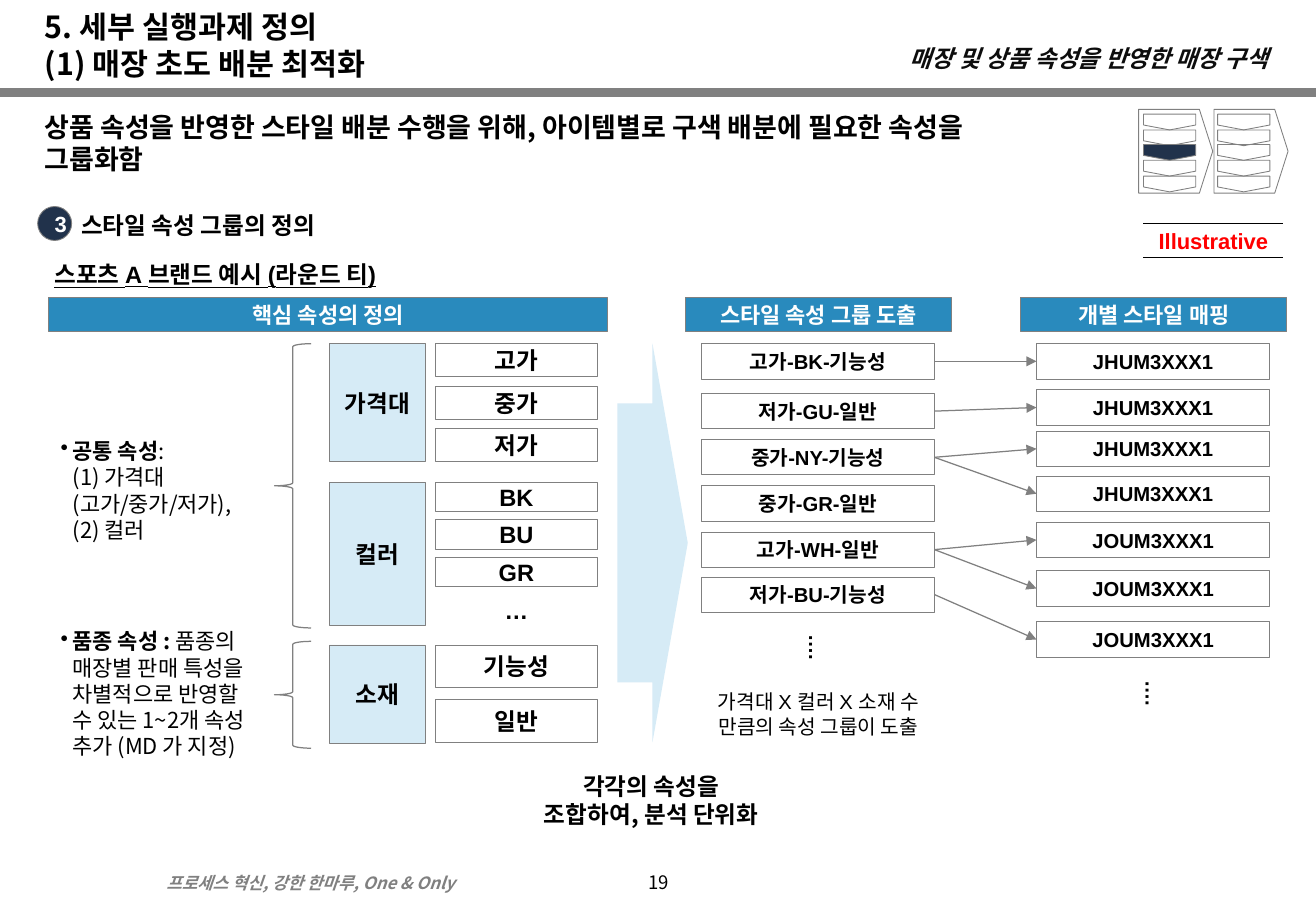
from lxml import etree
from pptx import Presentation
from pptx.dml.color import RGBColor
from pptx.enum.shapes import MSO_CONNECTOR as Connector, MSO_SHAPE as Shape
from pptx.enum.text import MSO_ANCHOR as Anchor, PP_ALIGN as Align
from pptx.oxml.ns import qn
from pptx.util import Emu, Pt

PX = 9144  # 100 px to the inch
HANGUL = "Noto Sans CJK KR"
GREY, NAVY, PALE, BLUE = "808080", "21324B", "D6EBF6", "298ABD"
BLACK, WHITE, RED = "000000", "FFFFFF", "FF0000"


def px(*lengths):
    return [Emu(length * PX) for length in lengths]


def color(value):
    return RGBColor.from_string(value)


class Board:
    """Holds the shared style and the slide being drawn."""

    def __init__(self, slide):
        self.slide = slide
        self.shapes = slide.shapes

    def style_run(self, run, size, ink=BLACK, bold=True, italic=False,
                  underline=False, font="Arial"):
        run.font.size = Pt(size)
        run.font.bold = bold
        run.font.italic = italic
        run.font.underline = underline
        run.font.color.rgb = color(ink)
        run.font.name = font
        etree.SubElement(run.font._element, qn("a:ea")).set("typeface", HANGUL)

    def frame(self, shape, anchor=Anchor.MIDDLE, margin=10):
        frame = shape.text_frame
        frame.word_wrap = True
        frame.vertical_anchor = anchor
        frame.margin_left = frame.margin_right = px(margin)[0]
        frame.margin_top = frame.margin_bottom = 0
        return frame

    def fill_text(self, shape, text, size, align=Align.CENTER, anchor=Anchor.MIDDLE,
                  margin=10, spacing=None, **style):
        frame = self.frame(shape, anchor, margin)
        frame.text = text
        paragraph = frame.paragraphs[0]
        paragraph.alignment = align
        if spacing:
            paragraph.line_spacing = spacing
        for run in paragraph.runs:
            self.style_run(run, size, **style)

    def title(self, box, text, size, **style):
        title = self.shapes.title
        title.left, title.top, title.width, title.height = px(*box)
        self.fill_text(title, text, size, Align.LEFT, Anchor.BOTTOM, **style)

    def text(self, box, text, size, align=Align.LEFT, **style):
        shape = self.shapes.add_textbox(*px(*box))
        self.fill_text(shape, text, size, align, **style)
        return shape

    def bullet(self, box, label, lines, size=13):
        """Add one bulleted paragraph: a bold label, then plain lines."""
        frame = self.frame(self.shapes.add_textbox(*px(*box)))
        paragraph = frame.paragraphs[0]
        properties = paragraph._p.get_or_add_pPr()
        properties.set("marL", str(10 * PX))
        properties.set("indent", str(-10 * PX))
        etree.SubElement(properties, qn("a:buChar")).set("char", "•")
        paragraph.line_spacing = Pt(15.6)
        run = paragraph.add_run()
        run.text = label
        self.style_run(run, size, font=HANGUL)
        for index, line in enumerate(lines):
            if index:
                paragraph.add_line_break()
            run = paragraph.add_run()
            run.text = line
            self.style_run(run, size, bold=False, font=HANGUL)

    def shape(self, kind, box, fill=None, line=GREY, weight=0.5, adjust=(), rotation=0):
        shape = self.shapes.add_shape(kind, *px(*box))
        shape.shadow.inherit = False
        shape.rotation = rotation
        for index, value in enumerate(adjust):
            shape.adjustments[index] = value
        if fill:
            shape.fill.solid()
            shape.fill.fore_color.rgb = color(fill)
        else:
            shape.fill.background()
        if line:
            shape.line.color.rgb = color(line)
            shape.line.width = Pt(weight)
        else:
            shape.line.fill.background()
        return shape

    def box(self, box, text, size, fill=None, margin=10, ink=BLACK, kind=Shape.RECTANGLE):
        shape = self.shape(kind, box, fill)
        self.fill_text(shape, text, size, margin=margin, ink=ink)
        return shape

    def line(self, x1, y1, x2, y2, ink=GREY, weight=0.75):
        line = self.shapes.add_connector(Connector.STRAIGHT, *px(x1, y1, x2, y2))
        line.line.color.rgb = color(ink)
        line.line.width = Pt(weight)
        etree.SubElement(line._element.spPr, qn("a:effectLst"))
        return line

    def arrow(self, source, target):
        """Join the right side of source to the left side of target."""
        arrow = self.line(0, 0, 0, 0)
        arrow.begin_connect(source, 3)
        arrow.end_connect(target, 1)
        outline = arrow._element.spPr.find(qn("a:ln"))
        etree.SubElement(outline, qn("a:tailEnd")).set("type", "triangle")


def draw_header(board):
    board.line(0, 76, 1083, 76, weight=5)
    board.title((27, 24, 1024, 43), "5. 세부 실행과제 정의\v(1) 매장 초도 배분 최적화", 18,
                spacing=Pt(22), font=HANGUL)
    board.text((700, 32, 350, 31), "매장 및 상품 속성을 반영한 매장 구색", 14, Align.RIGHT,
               margin=6, ink="0D0D0D", italic=True, font=HANGUL)
    board.text((27, 91, 846, 76),
               "상품 속성을 반영한 스타일 배분 수행을 위해, 아이템별로 구색 배분에 필요한 속성을 그룹화함",
               16, anchor=Anchor.TOP, spacing=Pt(19.2), font=HANGUL)
    board.box((31, 170, 28, 28), "3", 13, NAVY, ink=WHITE, kind=Shape.OVAL)
    board.text((57, 168, 423, 34), "스타일 속성 그룹의 정의", 14)
    board.text((35, 209, 400, 34), "스포츠 A 브랜드 예시 (라운드 티)", 14, underline=True)
    board.text((941, 184, 115, 28), "Illustrative", 13, Align.CENTER, ink=RED)
    for y in (184, 212):
        board.line(941, y, 1056, y, BLACK)


def draw_progress(board, current=(0, 2)):
    for column, (plate_x, step_x) in enumerate(((937, 956), (999, 1017))):
        board.shape(Shape.PENTAGON, (plate_x, 90, 61, 69), adjust=[0.18])
        for row in range(5):
            fill = NAVY if (column, row) == current else None
            board.shape(Shape.PENTAGON, (step_x, round(79 + 12.75 * row), 13, 43), fill,
                        adjust=[0.31], rotation=90)


def draw_attributes(board):
    attributes = [  # name, top, height, value height, value step, values
        ("가격대", 283, 97, 27, 35, ["고가", "중가", "저가"]),
        ("컬러", 397, 118, 24, 31, ["BK", "BU", "GR", "…"]),
        ("소재", 531, 81, 35, 45, ["기능성", "일반"]),
    ]
    for name, top, height, value_height, step, values in attributes:
        board.box((271, top, 79, height), name, 14, PALE)
        for row, value in enumerate(values):
            place = (358, top + row * step, 134, value_height)
            if value == "…":
                board.text(place, value, 14, Align.CENTER)
            else:
                board.box(place, value, 14)
    for top, height in ((283, 234), (528, 88)):
        board.shape(Shape.LEFT_BRACE, (226, top, 30, height), weight=0.75)
    board.bullet((40, 349, 186, 109), "공통 속성", [":", "(1) 가격대 (고가/중가/저가),", "(2) 컬러"])
    board.bullet((40, 520, 186, 102), "품종 속성 : ",
                 ["품종의 매장별 판매 특성을 차별적으로 반영할 수 있는 1~2개 속성 추가 (MD 가 지정)"])


def draw_mapping(board):
    groups = [("고가-BK-기능성", 283), ("저가-GU-일반", 324), ("중가-NY-기능성", 362),
              ("중가-GR-일반", 400), ("고가-WH-일반", 438), ("저가-BU-기능성", 475)]
    styles = [("JHUM3XXX1", 283), ("JHUM3XXX1", 321), ("JHUM3XXX1", 355), ("JHUM3XXX1", 392),
              ("JOUM3XXX1", 430), ("JOUM3XXX1", 470), ("JOUM3XXX1", 512)]
    links = [(0, 0), (1, 1), (2, 2), (2, 3), (4, 4), (4, 5), (5, 6)]
    group_boxes, style_boxes = (
        [board.box((x, y, 192, 29), text, 12, margin=0) for text, y in items]
        for x, items in ((577, groups), (853, styles)))
    for group, style in links:
        board.arrow(group_boxes[group], style_boxes[style])
    for x, y in ((653, 514), (930, 552)):
        board.text((x, y, 39, 38), "….", 12, Align.CENTER, margin=0).rotation = 90
    board.text((570, 563, 207, 49), "가격대 X 컬러 X 소재 수 만큼의 속성 그룹이 도출", 12,
               Align.CENTER, spacing=Pt(14.8), bold=False)


def main():
    presentation = Presentation()
    presentation.slide_width, presentation.slide_height = px(1083, 750)
    board = Board(presentation.slides.add_slide(presentation.slide_layouts[5]))
    draw_header(board)
    draw_progress(board)
    for x, width, heading in ((40, 460, "핵심 속성의 정의"), (564, 219, "스타일 속성 그룹 도출"),
                              (840, 219, "개별 스타일 매핑")):
        board.box((x, 245, width, 28), heading, 13, BLUE, ink=WHITE)
    draw_attributes(board)
    board.shape(Shape.RIGHT_ARROW, (508, 283, 58, 328), PALE, None, adjust=[0.7, 0.5])
    draw_mapping(board)
    board.text((409, 630, 254, 57), "각각의 속성을\v조합하여, 분석 단위화", 14, Align.CENTER,
               spacing=Pt(16.6), font=HANGUL)
    board.text((127, 713, 332, 27), "프로세스 혁신, 강한 한마루, One & Only", 10,
               ink=GREY, italic=True, font=HANGUL)
    board.text((492, 713, 100, 30), "19", 11, Align.CENTER, spacing=0.8, bold=False, font=HANGUL)
    presentation.save("out.pptx")


if __name__ == "__main__":
    main()
